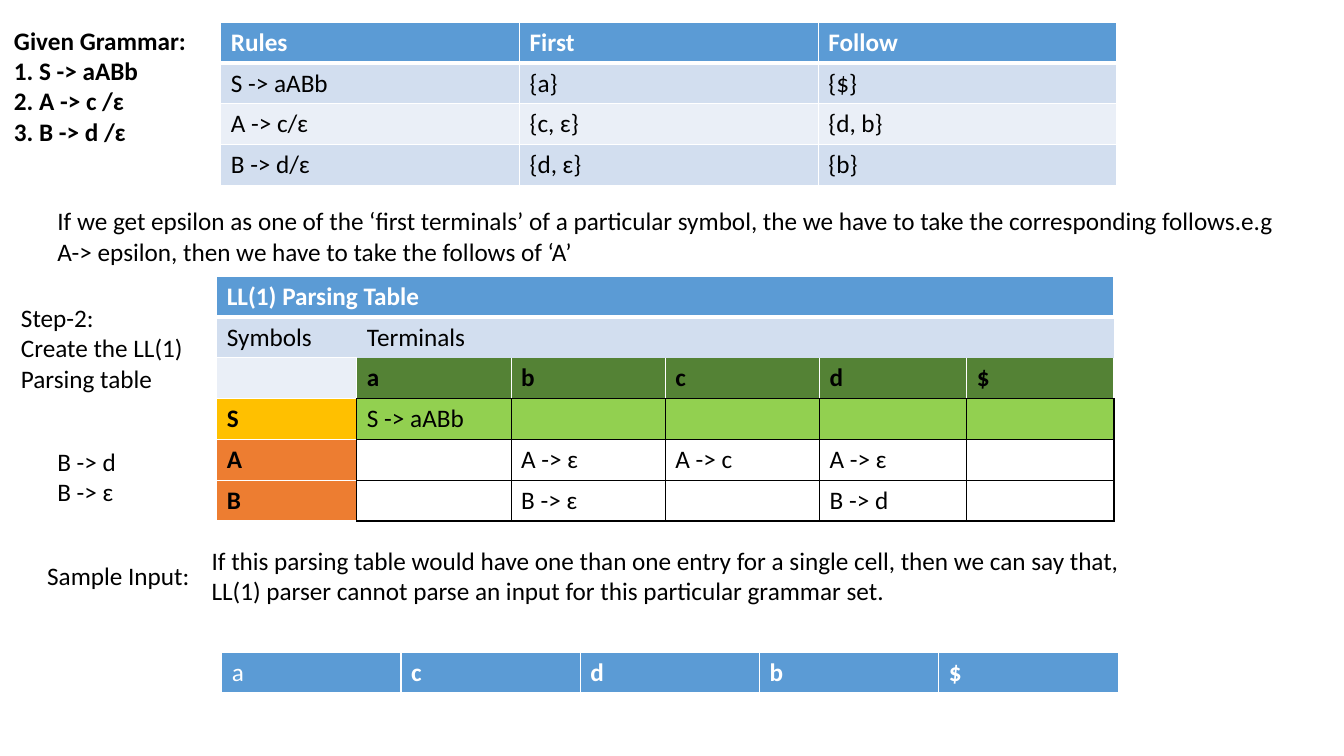
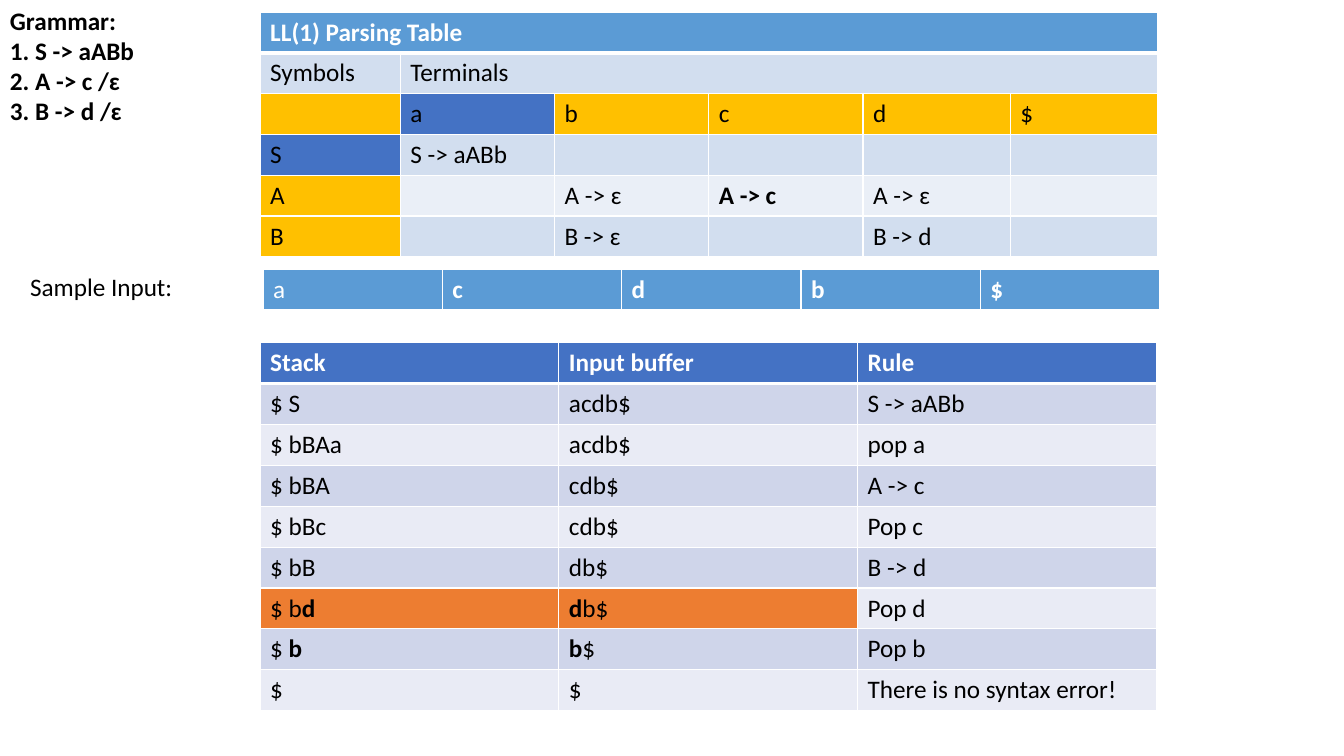
from itertools import product

from lxml.etree import SubElement
from pptx import Presentation
from pptx.dml.color import RGBColor
from pptx.enum.text import MSO_AUTO_SIZE as AutoSize
from pptx.oxml.ns import qn
from pptx.util import Inches, Pt

BLACK = RGBColor(0x00, 0x00, 0x00)
WHITE = RGBColor(0xFF, 0xFF, 0xFF)
SKY = RGBColor(0x5B, 0x9B, 0xD5)
SKY_BAND = RGBColor(0xD2, 0xDE, 0xEF)
SKY_PALE = RGBColor(0xEA, 0xEF, 0xF7)
BLUE = RGBColor(0x44, 0x72, 0xC4)
BLUE_BAND = RGBColor(0xCF, 0xD5, 0xEA)
BLUE_PALE = RGBColor(0xE9, 0xEB, 0xF5)
GREEN = RGBColor(0x54, 0x82, 0x35)
LIME = RGBColor(0x92, 0xD0, 0x50)
GOLD = RGBColor(0xFF, 0xC0, 0x00)
ORANGE = RGBColor(0xED, 0x7D, 0x31)

# Each look holds the fill of the header, the odd rows and the even rows.
SKY_LOOK = (SKY, SKY_BAND, SKY_PALE)
BLUE_LOOK = (BLUE, BLUE_BAND, BLUE_PALE)

SIDES = ("a:lnL", "a:lnR", "a:lnT", "a:lnB")
LEFT, RIGHT, TOP, BOTTOM = SIDES
TABLE_WIDTH = 8.89
THIRDS = [TABLE_WIDTH / 3] * 3
FIFTHS = [TABLE_WIDTH / 5] * 5
PARSING_WIDTHS = [1.39, 1.53, 1.53, 1.53, 1.46, 1.46]

# Asterisks enclose bold text.
GRAMMAR = ["*1. S -> aABb*", "*2. A -> c /ɛ*", "*3. B -> d /ɛ*"]
SAMPLE_INPUT = [["a", "*c*", "*d*", "*b*", "*$*"]]
PARSING = [
    ["*LL(1) Parsing Table*"],
    ["Symbols", "Terminals"],
    ["", "a", "b", "c", "d", "$"],
    ["S", "S -> aABb", "", "", "", ""],
    ["A", "", "A -> ɛ", "A -> c", "A -> ɛ", ""],
    ["B", "", "B -> ɛ", "", "B -> d", ""],
]
FIRST_FOLLOW = [
    ["*Rules*", "*First*", "*Follow*"],
    ["S -> aABb", "{a}", "{$}"],
    ["A -> c/ɛ", "{c, ɛ}", "{d, b}"],
    ["B -> d/ɛ", "{d, ɛ}", "{b}"],
]
STACK_TRACE = [
    ["*Stack*", "*Input buffer*", "*Rule*"],
    ["$ S", "acdb$", "S -> aABb"],
    ["$ bBAa", "acdb$", "pop a"],
    ["$ bBA", "cdb$", "A -> c"],
    ["$ bBc", "cdb$", "Pop c"],
    ["$ bB", "db$", "B -> d"],
    ["$ b*d*", "*d*b$", "Pop d"],
    ["$ *b*", "*b*$", "Pop b"],
    ["$", "$", "There is no syntax error!"],
]


def mark_bold(rows, chosen):
    return [[f"*{text}*" if text in chosen else text for text in row]
            for row in rows]


class Deck:
    font = {"name": "Calibri", "size": Pt(18)}

    def __init__(self):
        self.deck = Presentation()
        self.deck.slide_width = Inches(13.33)
        self.deck.slide_height = Inches(7.5)
        self.page = None

    def new_page(self):
        self.page = self.deck.slides.add_slide(self.deck.slide_layouts[6])

    def add_spans(self, para, text, color):
        """Add the text as runs; every part between asterisks is bold."""
        for index, part in enumerate(text.split("*")):
            if part:
                span = para.add_run()
                span.text = part
                for name, value in {**self.font, "bold": index % 2 == 1}.items():
                    setattr(span.font, name, value)
                span.font.color.rgb = color

    def text(self, left, top, width, height, lines):
        box = self.page.shapes.add_textbox(*map(Inches, (left, top, width, height)))
        frame = box.text_frame
        frame.word_wrap = False
        frame.auto_size = AutoSize.SHAPE_TO_FIT_TEXT
        for index, line in enumerate(lines):
            para = frame.add_paragraph() if index else frame.paragraphs[0]
            self.add_spans(para, line, BLACK)

    def table(self, left, top, height, widths, rows, look):
        """Draw a banded table; the last cell of a short row spans the rest."""
        shape = self.page.shapes.add_table(
            len(rows), len(widths), Inches(left), Inches(top),
            Inches(sum(widths)), Inches(height))
        table = shape.table
        for column, width in zip(table.columns, widths):
            column.width = Inches(width)
        columns = range(len(widths))
        head, odd, even = look
        for index, texts in enumerate(rows):
            table.rows[index].height = Inches(height / len(rows))
            fill = (odd if index % 2 else even) if index else head
            self.paint(table, [index], columns, fill)
            for column, text in enumerate(texts):
                self.add_spans(table.cell(index, column).text_frame.paragraphs[0],
                               text, BLACK if index else WHITE)
            if len(texts) < len(widths):
                table.cell(index, len(texts) - 1).merge(
                    table.cell(index, len(widths) - 1))
        self.rule(table, range(len(rows)), columns, SIDES, WHITE)
        self.rule(table, [0], columns, [BOTTOM], WHITE, 3)
        if len(rows) > 1:
            self.rule(table, [1], columns, [TOP], WHITE, 3)
        return table

    def paint(self, table, rows, columns, color):
        for row, column in product(rows, columns):
            fill = table.cell(row, column).fill
            fill.solid()
            fill.fore_color.rgb = color

    def rule(self, table, rows, columns, sides, color, width=1):
        """Set cell borders; a color of None hides them."""
        for row, column in product(rows, columns):
            props = table.cell(row, column)._tc.get_or_add_tcPr()
            for side in sides:
                for old in props.findall(qn(side)):
                    props.remove(old)
                line = SubElement(props, qn(side), w=str(Pt(width)))
                if color is None:
                    SubElement(line, qn("a:noFill"))
                else:
                    fill = SubElement(line, qn("a:solidFill"))
                    SubElement(fill, qn("a:srgbClr"), val=str(color))
            for side in reversed(SIDES):
                line = props.find(qn(side))
                if line is not None:
                    props.insert(0, line)

    def sample_input(self, label_at, table_at):
        self.text(*label_at, 1.63, 0.4, ["Sample Input:"])
        self.table(*table_at, 0.41, FIFTHS, SAMPLE_INPUT, SKY_LOOK)


def build_parsing_table(deck):
    deck.new_page()
    deck.text(0.04, 0.2, 1.98, 1.31, ["*Given Grammar:*"] + GRAMMAR)
    deck.table(2.19, 0.22, 1.62, THIRDS, FIRST_FOLLOW, SKY_LOOK)
    deck.text(0.47, 1.99, 12.41, 0.71, [
        "If we get epsilon as one of the ‘first terminals’ of a particular symbol, "
        "the we have to take the corresponding follows.e.g",
        "A-> epsilon, then we have to take the follows of ‘A’"])
    deck.text(0.11, 2.95, 1.83, 1.01,
              ["Step-2:", "Create the LL(1)", "Parsing table"])
    deck.text(0.47, 4.38, 0.79, 0.71, ["B -> d", "B -> ɛ"])

    rows = mark_bold(PARSING, set("abcd$SAB"))
    parsing = deck.table(2.15, 2.74, 2.43, PARSING_WIDTHS, rows, SKY_LOOK)
    terminals, entries = range(1, 6), range(3, 6)
    deck.paint(parsing, [2], terminals, GREEN)
    deck.paint(parsing, [3], [0], GOLD)
    deck.paint(parsing, [3], terminals, LIME)
    deck.paint(parsing, [4, 5], [0], ORANGE)
    deck.paint(parsing, [4, 5], terminals, WHITE)
    deck.rule(parsing, [1], [0], [RIGHT], None)
    deck.rule(parsing, [1], terminals, [LEFT, RIGHT, BOTTOM], None)
    deck.rule(parsing, [2], terminals, [TOP], None)
    deck.rule(parsing, [2], terminals, [BOTTOM], BLACK)
    deck.rule(parsing, entries, [0], [RIGHT], BLACK)
    deck.rule(parsing, entries, terminals, SIDES, BLACK)

    deck.text(2, 5.36, 9.32, 0.71, [
        "If this parsing table would have one than one entry for a single cell, "
        "then we can say that,",
        "LL(1) parser cannot parse an input for this particular grammar set."])
    deck.sample_input((0.37, 5.51), (2.2, 6.47))


def build_stack_trace(deck):
    deck.new_page()
    deck.text(0, 0, 1.45, 1.62, ["*Grammar:*"] + GRAMMAR)
    rows = mark_bold(PARSING, {"A -> c"})
    parsing = deck.table(2.58, 0.12, 2.43, PARSING_WIDTHS, rows, SKY_LOOK)
    deck.paint(parsing, [2], range(6), GOLD)
    deck.paint(parsing, [4, 5], [0], GOLD)
    deck.paint(parsing, [2], [1], BLUE)
    deck.paint(parsing, [3], [0], BLUE)
    deck.sample_input((0.2, 2.64), (2.61, 2.67))
    trace = deck.table(2.58, 3.4, 3.65, THIRDS, STACK_TRACE, BLUE_LOOK)
    deck.paint(trace, [6], [0, 1], ORANGE)


def main():
    deck = Deck()
    build_parsing_table(deck)
    build_stack_trace(deck)
    deck.deck.save("out.pptx")


if __name__ == "__main__":
    main()
